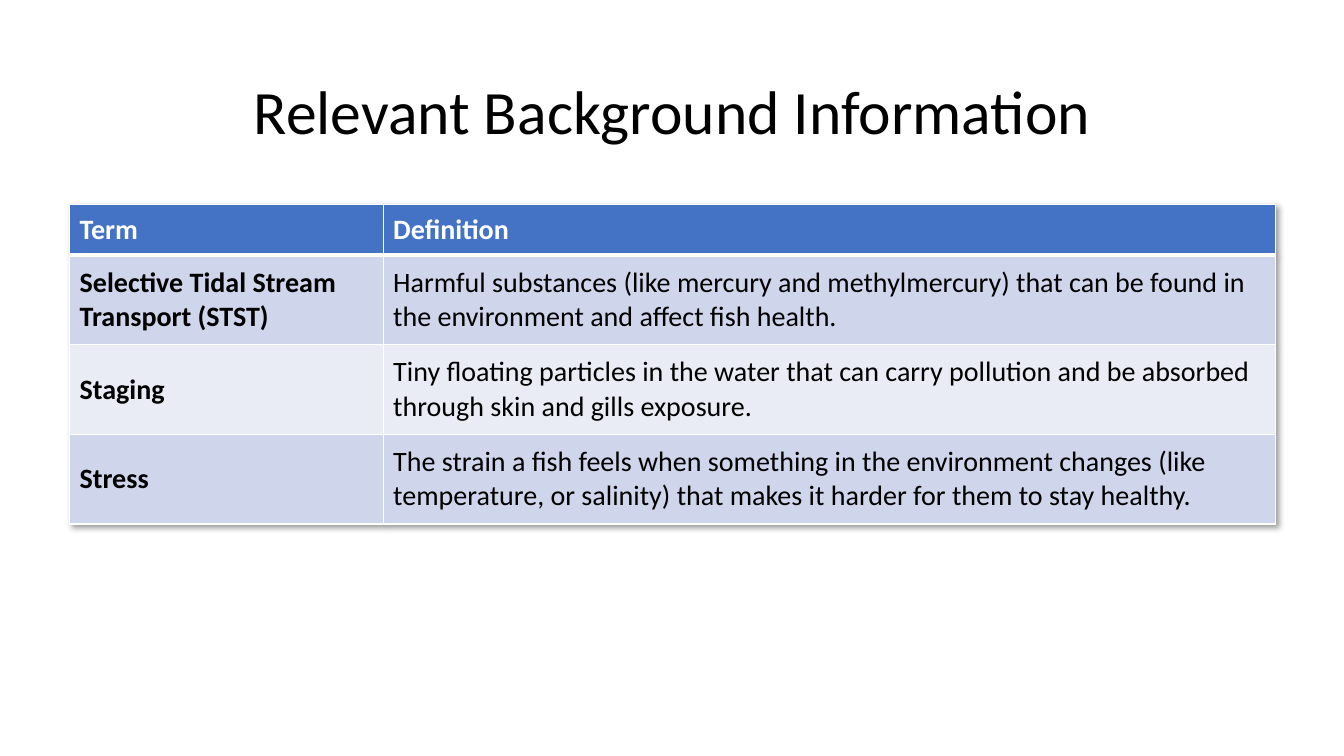
from lxml import etree
from pptx import Presentation
from pptx.dml.color import RGBColor
from pptx.enum.text import MSO_ANCHOR as Anchor, PP_ALIGN as Align
from pptx.oxml import parse_xml
from pptx.oxml.ns import nsdecls, qn
from pptx.util import Inches, Pt


def color(hex_string):
    return RGBColor.from_string(hex_string)


def write(frame, text, size=20, bold=False, ink="000000", align=Align.LEFT, spacing=1.0):
    frame.word_wrap = True
    frame.vertical_anchor = Anchor.MIDDLE
    paragraph = frame.paragraphs[0]
    paragraph.alignment = align
    paragraph.line_spacing = spacing
    run = paragraph.add_run()
    run.text = text
    run.font.name = "Calibri"
    run.font.size = Pt(size)
    run.font.bold = bold
    run.font.color.rgb = color(ink)


presentation = Presentation()
presentation.slide_width = Inches(13.33)
presentation.slide_height = Inches(7.5)
slide = presentation.slides.add_slide(presentation.slide_layouts[5])

# Title
title = slide.shapes.title
title.left, title.top = Inches(0.92), Inches(0.41)
title.width, title.height = Inches(11.5), Inches(1.45)
write(title.text_frame, "Relevant Background Information", size=44,
      align=Align.CENTER, spacing=0.9)

# Table of terms
rows = [
    ("Term", "Definition"),
    ("Selective Tidal Stream Transport (STST)",
     "Harmful substances (like mercury and methylmercury) that can be found in "
     "the environment and affect fish health."),
    ("Staging",
     "Tiny floating particles in the water that can carry pollution and be absorbed "
     "through skin and gills exposure."),
    ("Stress",
     "The strain a fish feels when something in the environment changes (like "
     "temperature, or salinity) that makes it harder for them to stay healthy."),
]
row_fills = ["4472C4", "CFD5EA", "E9EBF5", "CFD5EA"]
table = slide.shapes.add_table(len(rows), 2, Inches(0.69), Inches(2.03),
                               Inches(11.96), Inches(3.17)).table
for column, width in zip(table.columns, (3.11, 8.85)):
    column.width = Inches(width)

for row_index, (texts, row_fill) in enumerate(zip(rows, row_fills)):
    is_header = row_index == 0
    table.rows[row_index].height = Inches(0.5 if is_header else 0.89)
    for column_index, text in enumerate(texts):
        cell = table.cell(row_index, column_index)
        cell.vertical_anchor = Anchor.MIDDLE
        write(cell.text_frame, text, bold=is_header or column_index == 0,
              ink="FFFFFF" if is_header else "000000")

        # White borders, thicker below the header
        properties = cell._tc.get_or_add_tcPr()
        for side in "LRTB":
            thick = (row_index, side) in ((0, "B"), (1, "T"))
            line = etree.SubElement(properties, qn(f"a:ln{side}"), w=str(Pt(3 if thick else 1)))
            line_fill = etree.SubElement(line, qn("a:solidFill"))
            etree.SubElement(line_fill, qn("a:srgbClr"), val="FFFFFF")
        cell.fill.solid()
        cell.fill.fore_color.rgb = color(row_fill)

# Soft shadow around the table
table._tbl.tblPr.insert(0, parse_xml(
    f'<a:effectLst {nsdecls("a")}>'
    '<a:outerShdw blurRad="50800" dist="38100" dir="2700000" algn="tl" rotWithShape="0">'
    '<a:srgbClr val="000000"><a:alpha val="40000"/></a:srgbClr>'
    '</a:outerShdw></a:effectLst>'))

presentation.save("out.pptx")
